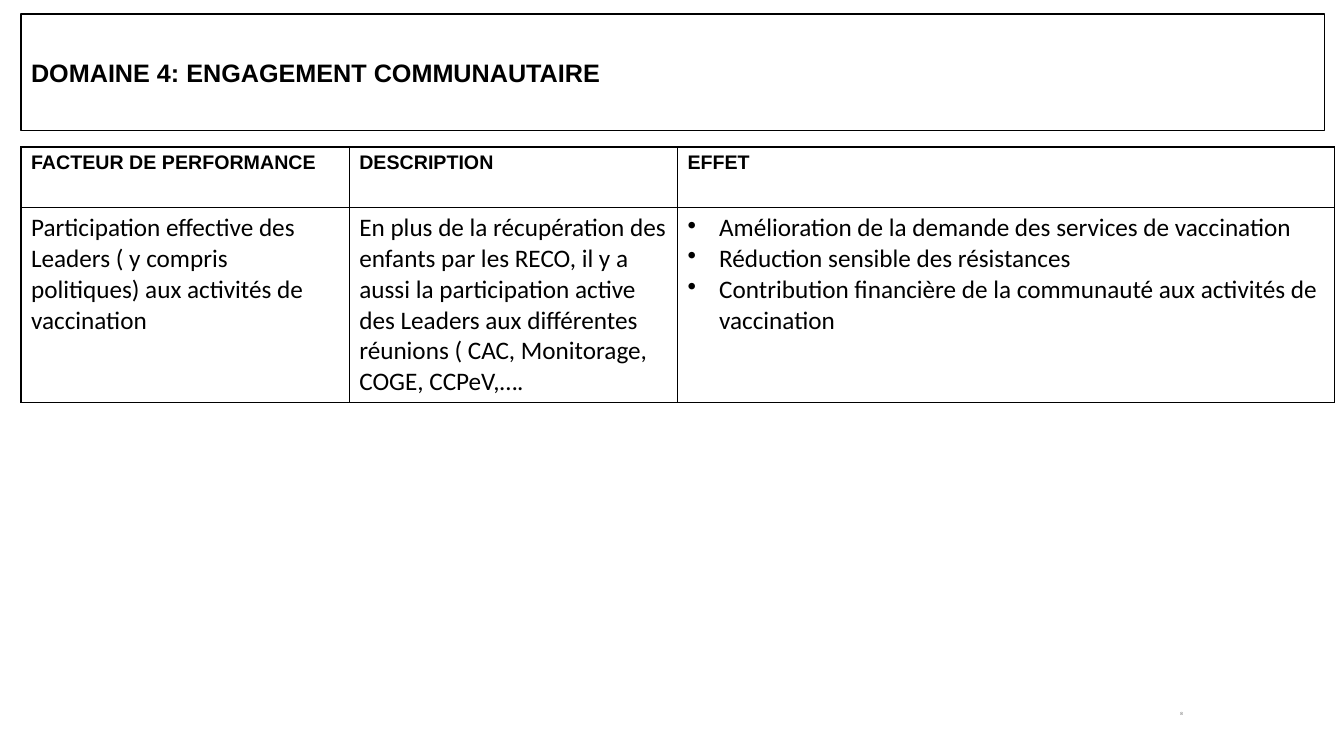
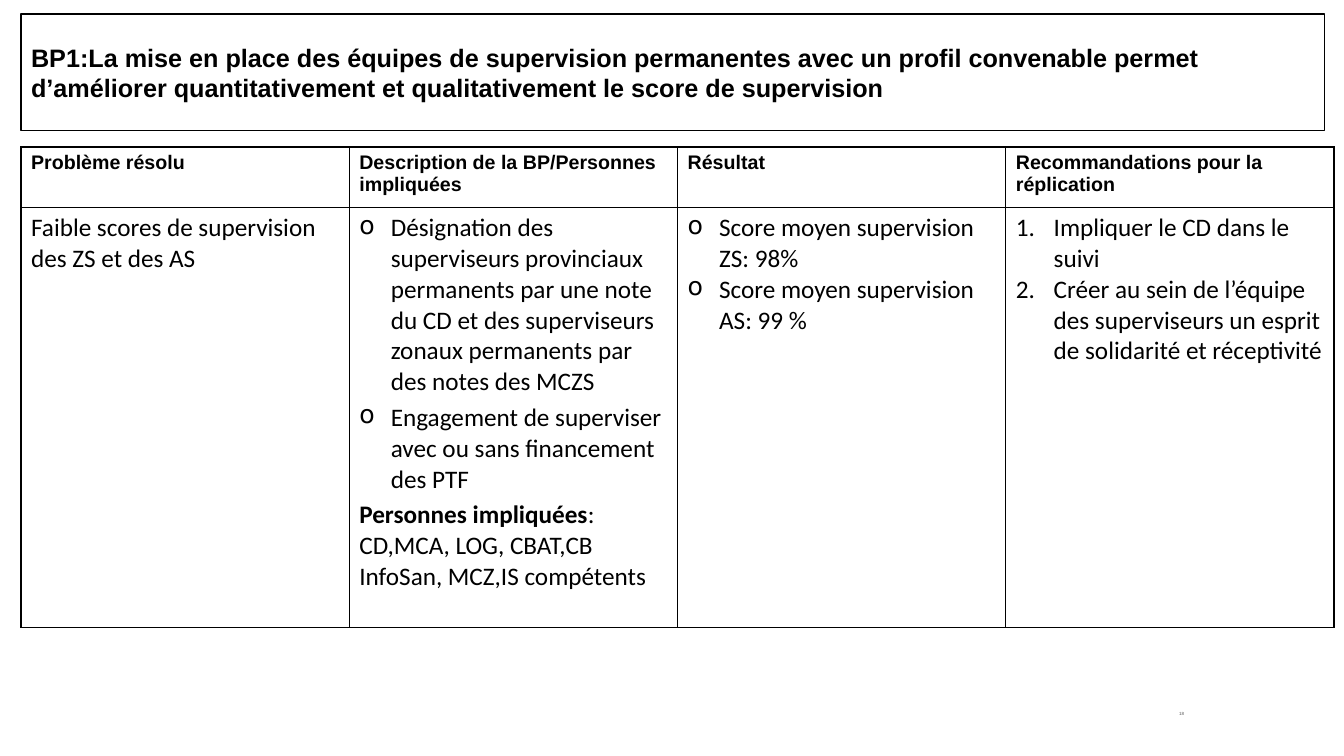
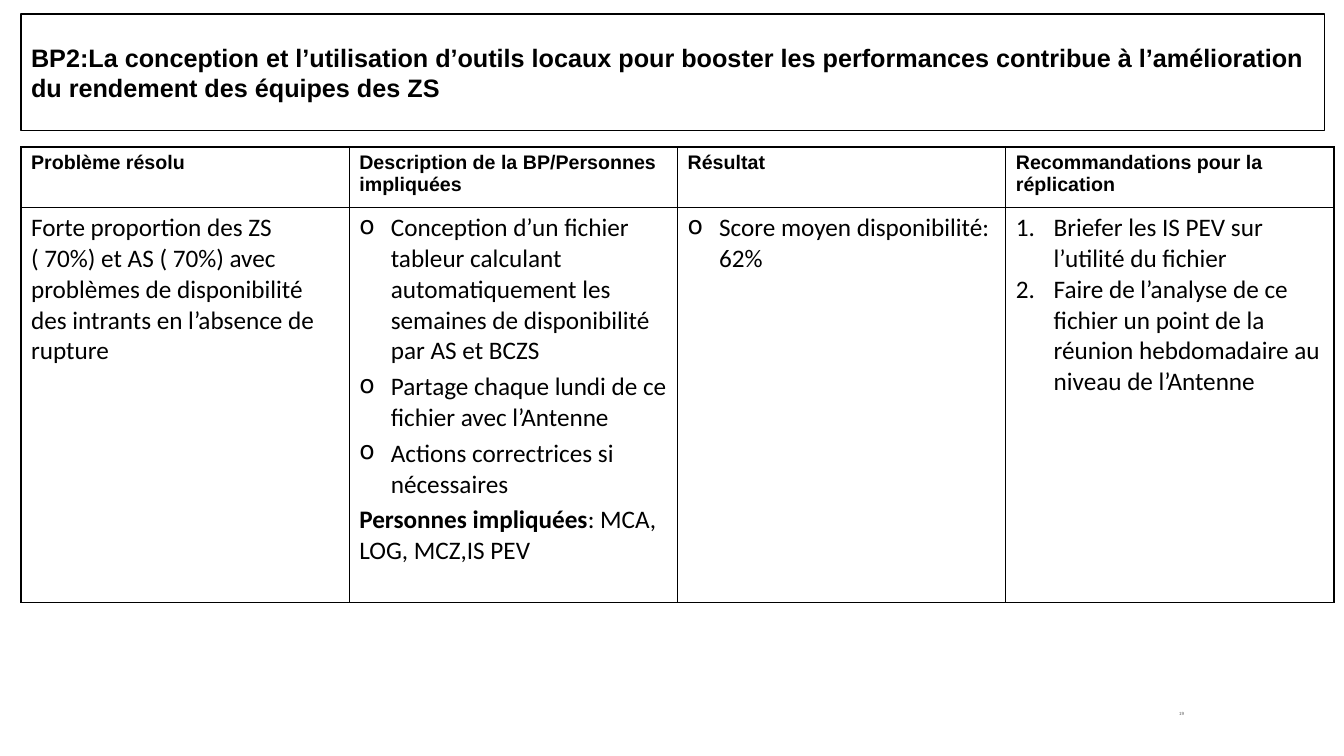
from lxml import etree
from pptx import Presentation
from pptx import util as u
from pptx.dml.color import RGBColor
from pptx.enum import text
from pptx.oxml.ns import qn

BLACK, WHITE, GREY = "000000", "FFFFFF", "595959"
HEAD_FONT, BODY_FONT = "Arial", "Calibri"
LEFT, COL_W, HEAD_H = 15, 234.5, 43.5
DISC, CIRCLE, NUMBER, PLAIN, LEAD = "•", "o", "1.", "", "lead"
INDENTS = {DISC: 22.5, CIRCLE: 22.5, NUMBER: 27}
DESCRIPTION_COL = 1
PRACTICE_HEADS = ["Problème résolu", "Description de la BP/Personnes impliquées",
                  "Résultat", "Recommandations pour la réplication"]

SLIDES = [
    {
        "title": "DOMAINE 4: ENGAGEMENT COMMUNAUTAIRE",
        "heads": ["FACTEUR DE PERFORMANCE", "DESCRIPTION", "EFFET"],
        "spans": [1, 1, 2],
        "body_h": 139,
        "number": "8",
        "cells": [
            [(PLAIN, "Participation effective des Leaders ( y compris politiques) "
                     "aux activités de vaccination")],
            [(PLAIN, "En plus de la récupération des enfants par les RECO, il y a aussi "
                     "la participation active des Leaders aux différentes réunions "
                     "( CAC, Monitorage, COGE, CCPeV,….")],
            [(DISC, "Amélioration de la demande des services de vaccination"),
             (DISC, "Réduction sensible des résistances"),
             (DISC, "Contribution financière de la communauté aux activités "
                    "de vaccination")],
        ],
    },
    {
        "title": "BP1:La mise en place des équipes de supervision permanentes avec un "
                 "profil convenable permet d’améliorer quantitativement et "
                 "qualitativement le score de supervision",
        "heads": PRACTICE_HEADS,
        "spans": [1, 1, 1, 1],
        "body_h": 300,
        "number": "18",
        "cells": [
            [(PLAIN, "Faible scores de supervision des ZS et des AS")],
            [(CIRCLE, "Désignation des superviseurs provinciaux permanents par une note "
                      "du CD et des superviseurs zonaux permanents par des notes des MCZS"),
             (CIRCLE, "Engagement de superviser avec ou sans financement des PTF"),
             (LEAD, "Personnes impliquées: CD,MCA, LOG, CBAT,CB InfoSan, "
                    "MCZ,IS compétents")],
            [(CIRCLE, "Score moyen supervision ZS: 98%"),
             (CIRCLE, "Score moyen supervision AS: 99 %")],
            [(NUMBER, "Impliquer le CD dans le suivi"),
             (NUMBER, "Créer au sein de l’équipe des superviseurs un esprit de "
                      "solidarité et réceptivité")],
        ],
    },
    {
        "title": "BP2:La conception et l’utilisation d’outils locaux pour booster les "
                 "performances contribue à l’amélioration du rendement des équipes des ZS",
        "heads": PRACTICE_HEADS,
        "spans": [1, 1, 1, 1],
        "body_h": 282,
        "number": "19",
        "cells": [
            [(PLAIN, "Forte proportion des ZS ( 70%) et AS ( 70%) avec problèmes de "
                     "disponibilité des intrants en l’absence de rupture")],
            [(CIRCLE, "Conception d’un fichier tableur calculant automatiquement les "
                      "semaines de disponibilité par AS et BCZS"),
             (CIRCLE, "Partage chaque lundi de ce fichier avec l’Antenne"),
             (CIRCLE, "Actions correctrices si nécessaires"),
             (LEAD, "Personnes impliquées: MCA, LOG, MCZ,IS PEV")],
            [(CIRCLE, "Score moyen disponibilité: 62%")],
            [(NUMBER, "Briefer les IS PEV sur l’utilité du fichier"),
             (NUMBER, "Faire de l’analyse de ce fichier un point de la réunion "
                      "hebdomadaire au niveau de l’Antenne")],
        ],
    },
]


def rgb(value):
    """Turn a hex string into a colour."""
    return RGBColor.from_string(value)


def style_runs(p, size, font, bold=False, color=BLACK):
    """Format every run of a paragraph."""
    for r in p.runs:
        r.font.size = u.Pt(size)
        r.font.name = font
        r.font.bold = bold
        r.font.color.rgb = rgb(color)


def place(sp, left, top, width, height):
    """Set a shape's position and size in points."""
    sp.left, sp.top = u.Pt(left), u.Pt(top)
    sp.width, sp.height = u.Pt(width), u.Pt(height)


def set_title(s, title):
    """Fill and format the framed title placeholder."""
    sp = s.shapes.title
    place(sp, LEFT, 10, 931, 83.5)
    sp.line.color.rgb = rgb(BLACK)
    sp.line.width = u.Pt(0.75)
    tf = sp.text_frame
    tf.text = title
    tf.word_wrap = True
    tf.auto_size = text.MSO_AUTO_SIZE.NONE
    tf.vertical_anchor = text.MSO_ANCHOR.MIDDLE
    p = tf.paragraphs[0]
    p.alignment = text.PP_ALIGN.LEFT
    style_runs(p, 18, HEAD_FONT, bold=True)


def add_number(s, number):
    """Add the small slide number at the bottom right."""
    sp = s.shapes.add_textbox(u.Pt(816), u.Pt(504), u.Pt(56), u.Pt(12))
    tf = sp.text_frame
    tf.word_wrap = True
    tf.vertical_anchor = text.MSO_ANCHOR.MIDDLE
    tf.margin_left = tf.margin_right = u.Pt(9.4)
    tf.margin_top = tf.margin_bottom = u.Pt(5)
    p = tf.paragraphs[0]
    p.text = number
    p.alignment = text.PP_ALIGN.CENTER
    p.line_spacing = 0.8
    style_runs(p, 3.2, HEAD_FONT, color=GREY)


def add_borders(cell):
    """Draw a thin black line on each side of a cell."""
    tc_pr = cell._tc.get_or_add_tcPr()
    for i, side in enumerate(("a:lnL", "a:lnR", "a:lnT", "a:lnB")):
        ln = etree.Element(qn(side), w=str(u.Pt(1)))
        fill = etree.SubElement(ln, qn("a:solidFill"))
        etree.SubElement(fill, qn("a:srgbClr"), val=BLACK)
        tc_pr.insert(i, ln)


def add_bullet(p, mark):
    """Give a paragraph a hanging bullet or number."""
    p_pr = p._p.get_or_add_pPr()
    indent = u.Pt(INDENTS[mark])
    p_pr.set("marL", str(indent))
    p_pr.set("indent", str(-indent))
    if mark == NUMBER:
        etree.SubElement(p_pr, qn("a:buAutoNum"), type="arabicPeriod")
    else:
        etree.SubElement(p_pr, qn("a:buChar"), char=mark)


def fill_head(cell, label):
    """Write a column heading."""
    cell.fill.background()
    add_borders(cell)
    cell.text_frame.text = label
    style_runs(cell.text_frame.paragraphs[0], 14, HEAD_FONT, bold=True)


def fill_body(cell, items, gap):
    """Write marked paragraphs into a body cell."""
    cell.fill.solid()
    cell.fill.fore_color.rgb = rgb(WHITE)
    add_borders(cell)
    tf = cell.text_frame
    for i, (mark, words) in enumerate(items):
        p = tf.add_paragraph() if i else tf.paragraphs[0]
        if i and gap:
            p.space_before = u.Pt(gap)
        if mark in INDENTS:
            add_bullet(p, mark)
        if mark == LEAD:
            lead, colon, rest = words.partition(":")
            p.add_run().text = lead
            p.add_run().text = colon + rest
        else:
            p.text = words
        style_runs(p, 18, BODY_FONT)
        p.runs[0].font.bold = mark == LEAD


def add_grid(s, heads, spans, cells, body_h):
    """Add the table of one heading row and one body row."""
    frame = s.shapes.add_table(2, len(heads), u.Pt(LEFT), u.Pt(105),
                               u.Pt(COL_W * sum(spans)), u.Pt(HEAD_H + body_h))
    table = frame.table
    table.first_row = table.horz_banding = False
    table.rows[0].height = u.Pt(HEAD_H)
    table.rows[1].height = u.Pt(body_h)
    for col, (label, span, items) in enumerate(zip(heads, spans, cells)):
        table.columns[col].width = u.Pt(COL_W * span)
        fill_head(table.cell(0, col), label)
        fill_body(table.cell(1, col), items, 3.6 if col == DESCRIPTION_COL else 0)


def main():
    """Build and save the presentation."""
    prs = Presentation()
    prs.slide_width, prs.slide_height = u.Pt(960), u.Pt(540)
    for content in SLIDES:
        s = prs.slides.add_slide(prs.slide_layouts[5])
        set_title(s, content["title"])
        add_grid(s, content["heads"], content["spans"], content["cells"],
                 content["body_h"])
        add_number(s, content["number"])
    prs.save("out.pptx")


if __name__ == "__main__":
    main()
